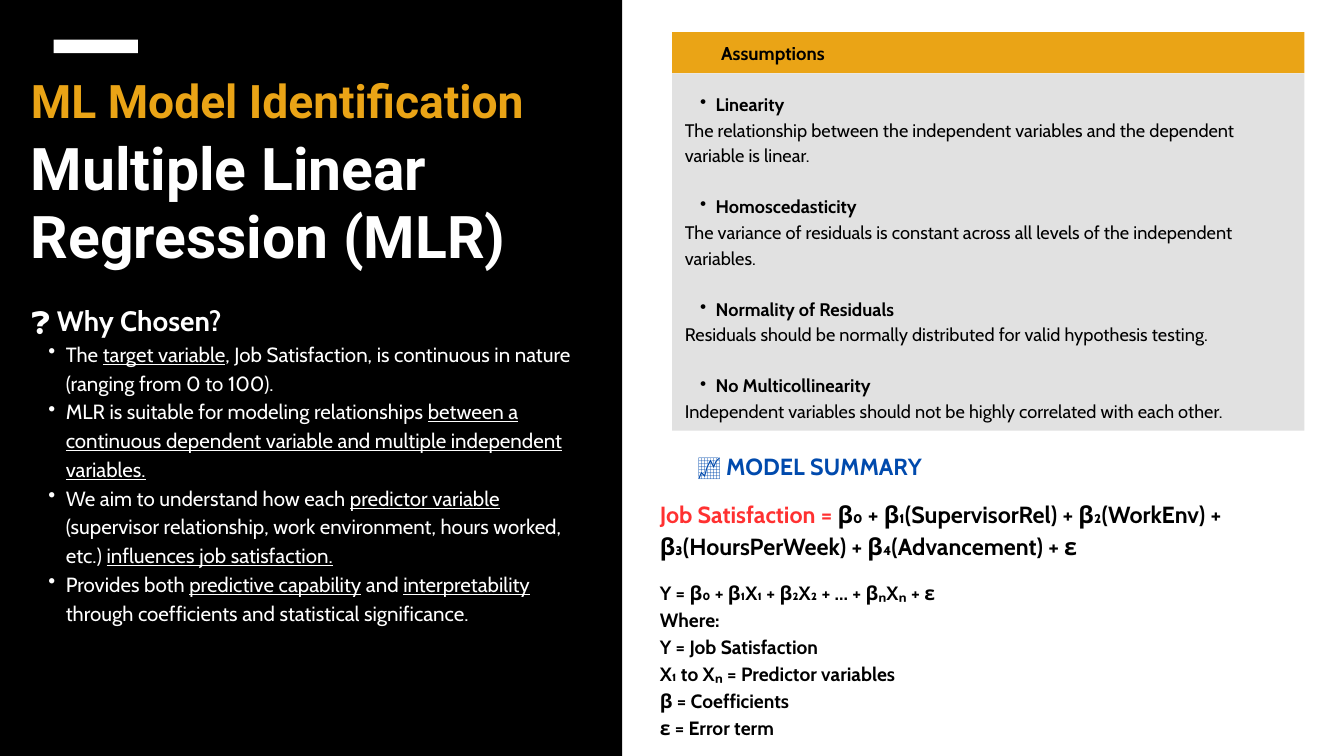
from lxml import etree
from pptx import Presentation
from pptx.dml.color import RGBColor
from pptx.enum.shapes import MSO_SHAPE
from pptx.enum.text import PP_ALIGN
from pptx.oxml.ns import qn
from pptx.util import Pt

RECT = MSO_SHAPE.RECTANGLE
LEFT, CENTER = PP_ALIGN.LEFT, PP_ALIGN.CENTER
BLACK, WHITE, GOLD = "000000", "FFFFFF", "EAA416"
GRAY, BLUE, RED = "E1E1E1", "004AAD", "FF3131"

REASONS = [
    "The |target variable|, Job Satisfaction, is continuous in nature (ranging from 0 to 100).",
    "MLR is suitable for modeling relationships |between a continuous dependent variable"
    " and multiple independent variables.",
    "We aim to understand how each |predictor variable| (supervisor relationship,"
    " work environment, hours worked, etc.) |influences job satisfaction.",
    "Provides both |predictive capability| and |interpretability| through coefficients"
    " and statistical significance.",
]
RULES = [
    ("Linearity", "The relationship between the independent variables"
     " and the dependent variable is linear."),
    ("Homoscedasticity", "The variance of residuals is constant across all levels"
     " of the independent variables."),
    ("Normality of Residuals", "Residuals should be normally distributed"
     " for valid hypothesis testing."),
    ("No Multicollinearity", "Independent variables should not be highly"
     " correlated with each other."),
]
TERMS = [
    "Y = β₀ + β₁X₁ + β₂X₂ + ... + βₙXₙ + ε",
    "Where:",
    "Y = Job Satisfaction",
    "X₁ to Xₙ = Predictor variables",
    "β = Coefficients",
    "ε = Error term",
]


def paint(color):
    return RGBColor.from_string(color)


def add_bar(slide, left, top, width, height, color):
    bar = slide.shapes.add_shape(RECT, Pt(left), Pt(top), Pt(width), Pt(height))
    bar.shadow.inherit = False
    bar.fill.solid()
    bar.fill.fore_color.rgb = paint(color)
    bar.line.fill.background()


def add_frame(slide, left, top, width, height):
    frame = slide.shapes.add_textbox(Pt(left), Pt(top), Pt(width), Pt(height)).text_frame
    frame.word_wrap = True
    frame.margin_left = frame.margin_right = frame.margin_top = frame.margin_bottom = 0
    return frame


def add_line(frame, runs, size, lead, color, font="Cabin", bold=True,
             indent=0, gap=0, align=LEFT):
    line = frame.paragraphs[0]
    if line.runs:
        line = frame.add_paragraph()
    line.alignment = align
    line.line_spacing = Pt(lead)
    if gap:
        line.space_before = Pt(gap)
    if indent:
        line.level = 1
        props = line._p.get_or_add_pPr()
        props.set("marL", str(Pt(indent)))
        props.set("indent", str(-Pt(indent / 2)))
        etree.SubElement(props, qn("a:buChar")).set("char", "•")
    for text in runs:
        run = line.add_run()
        run.text = text
        run.font.name = font
        run.font.size = Pt(size)
        run.font.bold = bold
        run.font.color.rgb = paint(color)
    return line


def add_model(slide, left, top, width, height):
    add_bar(slide, left, top, width, height, BLACK)
    add_bar(slide, left + 57.6, top + 42.5, 90.2, 14.4, WHITE)
    edge = left + 33.1
    frame = add_frame(slide, edge, top + 79.2, 619, 62.6)
    add_line(frame, ["ML Model Identification"], 49.5, 57.4, GOLD, "Roboto")
    frame = add_frame(slide, edge, top + 143.3, 633.4, 152.6)
    add_line(frame, ["Multiple Linear Regression (MLR)"], 63, 73.1, WHITE, "Roboto")
    frame = add_frame(slide, edge, top + 319.7, 589, 409.7)
    head = add_line(frame, ["❓ ", "Why Chosen?"], 30, 42, WHITE)
    head.runs[0].font.bold = False
    for reason in REASONS:
        line = add_line(frame, reason.split("|"), 22, 30.8, WHITE, bold=False, indent=37.4)
        for run in line.runs[1::2]:
            run.font.underline = True


def add_rules(slide, left, top, width, height):
    band = 44
    add_bar(slide, left, top, width, band, GOLD)
    add_bar(slide, left, top + band, width, height - band, GRAY)
    frame = add_frame(slide, left + 13.7, top + 61.5, width - 28, 349.2)
    for i, (name, detail) in enumerate(RULES):
        add_line(frame, [name], 19.5, 27.4, BLACK, indent=33.1, gap=27.4 if i else 0)
        add_line(frame, [detail], 19.5, 27.4, BLACK, bold=False)
    frame = add_frame(slide, left + 52.6, top + 6.8, 255.6, 26.6)
    add_line(frame, ["Assumptions"], 19.9, 27.8, BLACK)


def add_summary(slide, left, top, width, height):
    frame = add_frame(slide, left, top, 321.1, 33.1)
    add_line(frame, ["📈 MODEL SUMMARY"], 25, 35, BLUE, align=CENTER)
    frame = add_frame(slide, left, top + 51.1, width, 67.7)
    terms = " β₀ + β₁(SupervisorRel) + β₂(WorkEnv) + β₃(HoursPerWeek) + β₄(Advancement) + ε"
    line = add_line(frame, ["Job Satisfaction =", terms], 25, 35, BLACK)
    line.runs[0].font.color.rgb = paint(RED)
    frame = add_frame(slide, left, top + 139, 361.4, height - 139)
    for term in TERMS:
        add_line(frame, [term], 20.6, 28.9, BLACK)


def main():
    deck = Presentation()
    deck.slide_width, deck.slide_height = Pt(1440), Pt(810)
    slide = deck.slides.add_slide(deck.slide_layouts[6])
    add_model(slide, 0, 0, 666.5, 810)
    add_rules(slide, 720, 34.5, 677.5, 427)
    add_summary(slide, 707, 479.5, 703.4, 308.2)
    deck.save("out.pptx")


if __name__ == "__main__":
    main()
